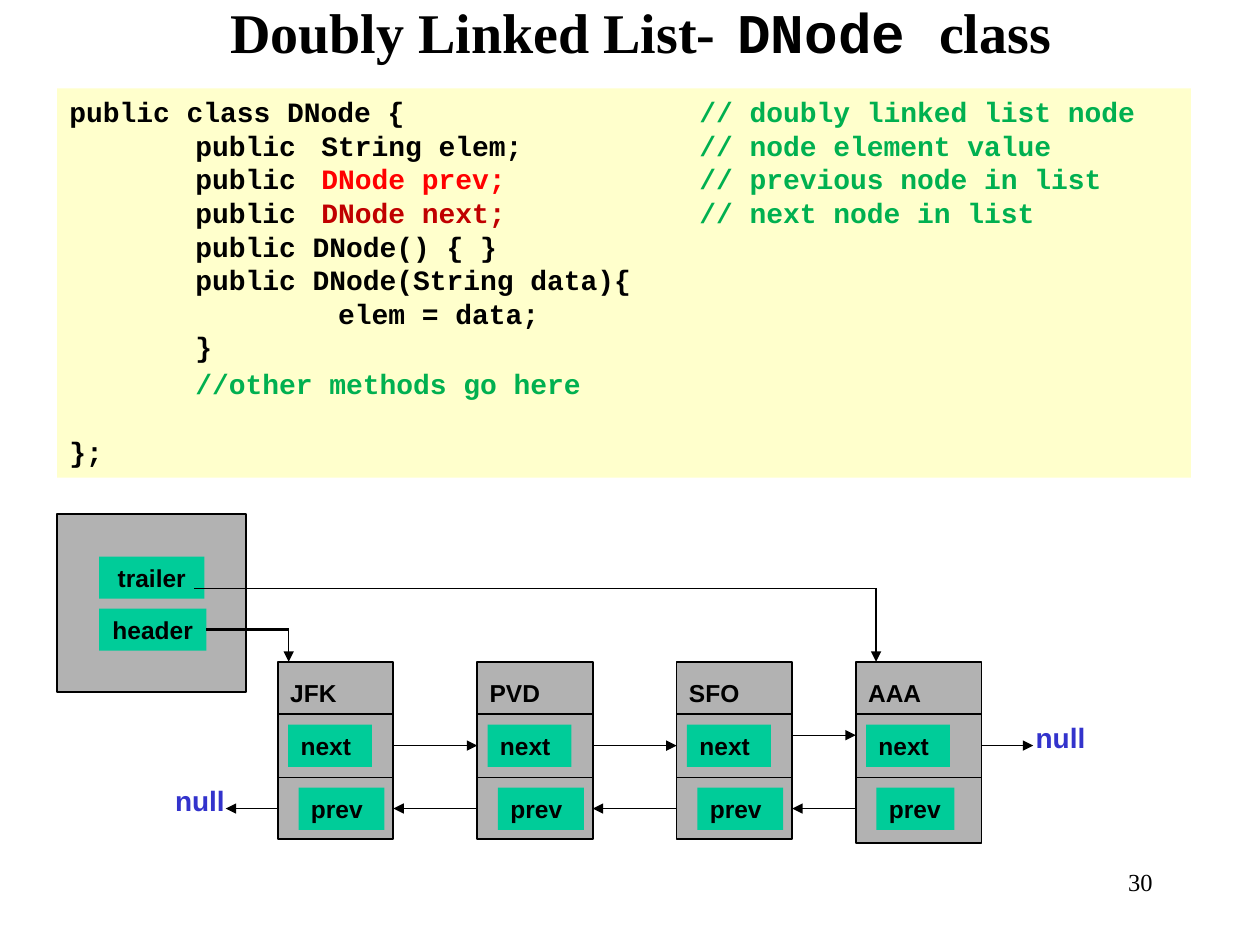
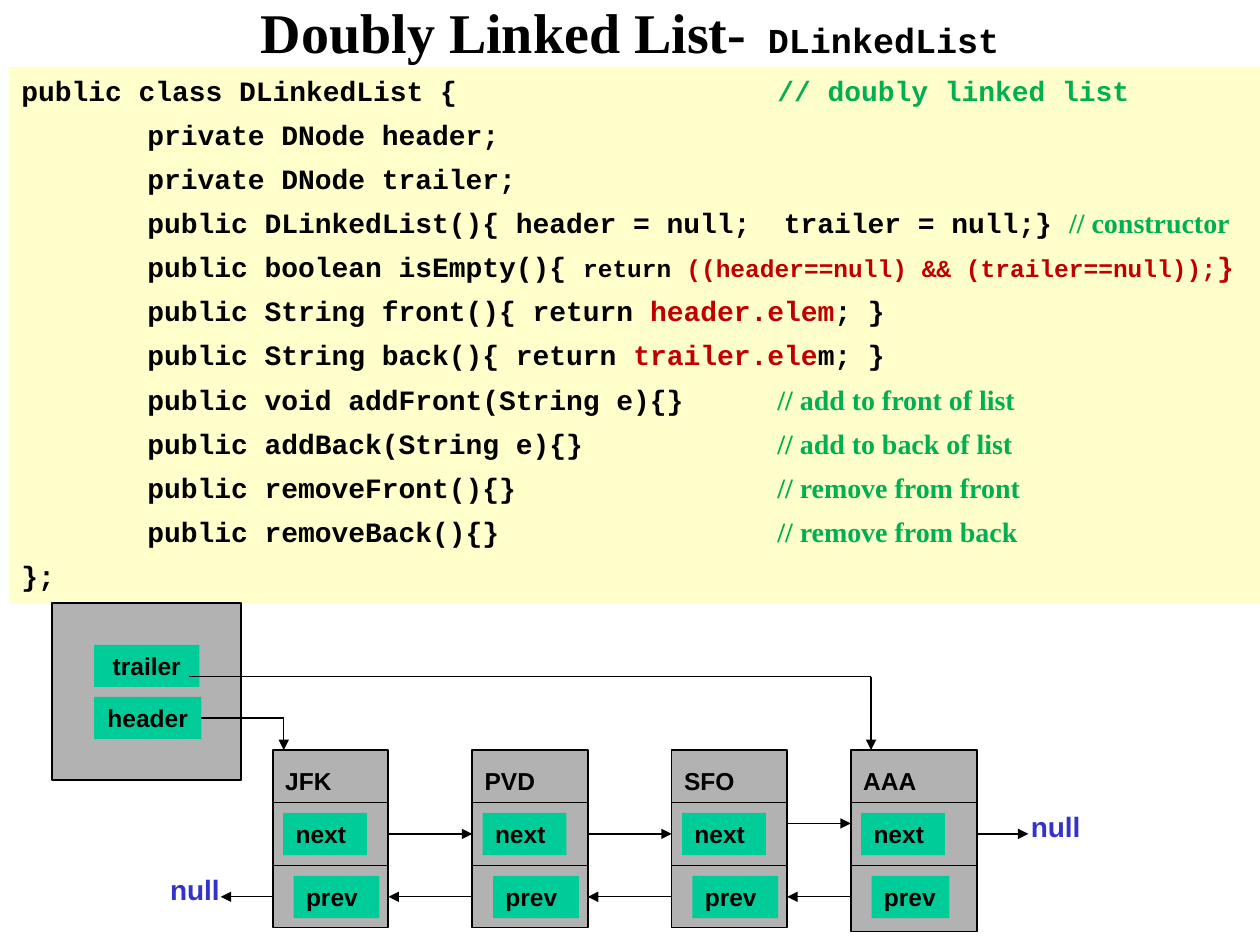
"""Build two slides on a doubly linked list: its node class and its list class."""
from lxml import etree
from pptx import Presentation
from pptx.dml.color import RGBColor
from pptx.enum import shapes, text
from pptx.oxml import ns
from pptx.util import Cm, Pt

COLORS = {
    "black": "000000", "code": "FFFFCC", "comment": "00B050", "red": "FF0000",
    "dark red": "C00000", "node": "B2B2B2", "field": "00CC99", "null": "3333CC",
}
SERIF, MONO, SANS = "Times New Roman", "Courier New", "Arial"
TAB_WIDTH = Cm(2.54)


def write(shape, paragraphs, font=SANS, size=14, color="black", bold=True, align="LEFT",
          anchor="TOP", line_spacing=1.0, gaps=()):
    """Fill a shape with paragraphs, each a list of strings or (string, overrides)."""
    frame = shape.text_frame
    frame.auto_size = text.MSO_AUTO_SIZE.NONE
    frame.word_wrap = True
    frame.vertical_anchor = getattr(text.MSO_ANCHOR, anchor)
    frame.margin_left = frame.margin_right = Cm(0.25)
    frame.margin_top = frame.margin_bottom = Cm(0.13)
    for index, runs in enumerate(paragraphs):
        paragraph = frame.paragraphs[0] if index == 0 else frame.add_paragraph()
        paragraph.alignment = getattr(text.PP_ALIGN, align)
        paragraph.line_spacing = line_spacing
        paragraph.space_before = Pt(gaps[index] if gaps else 0)
        properties = paragraph._p.get_or_add_pPr()
        for name, value in (("marL", 0), ("indent", 0), ("defTabSz", TAB_WIDTH)):
            properties.set(name, str(int(value)))
        etree.SubElement(properties, ns.qn("a:buNone"))
        for part in runs:
            words, changes = (part, {}) if isinstance(part, str) else part
            style = {"font": font, "size": size, "color": color, "bold": bold, **changes}
            run = paragraph.add_run()
            run.text = words
            run.font.name = style["font"]
            run.font.size = Pt(style["size"])
            run.font.bold = style["bold"]
            run.font.color.rgb = RGBColor.from_string(COLORS[style["color"]])


COMMENT = {"color": "comment"}
SERIF_COMMENT = {"color": "comment", "font": SERIF}
RED, DARK_RED = {"color": "red"}, {"color": "dark red"}

node_class = [
    ["public class DNode { \t\t\t", ("// doubly linked list node", COMMENT)],
    ["\tpublic \tString elem; \t\t", ("// node element value", COMMENT)],
    ["\tpublic \t", ("DNode prev; \t\t", RED), ("// previous node in list", COMMENT)],
    ["\tpublic \t", ("DNode next; \t\t", DARK_RED), ("// next node in list", COMMENT)],
    ["\tpublic DNode() { }"],
    ["\tpublic DNode(String data){"],
    ["\t\t elem = data;"],
    ["\t}"],
    ["\t", ("//other methods go here", COMMENT)],
    ["};"],
]
list_class = [
    ["public class DLinkedList { \t\t\t", ("// doubly linked list", COMMENT)],
    ["\tprivate DNode header;"],
    ["\tprivate DNode trailer;"],
    ["\tpublic DLinkedList(){ header = null;  trailer = null;} ", ("// constructor", SERIF_COMMENT)],
    ["\tpublic boolean isEmpty(){ ", ("return ", {"size": 14}),
     ("((header==null) && (trailer==null));", {"size": 14, **DARK_RED}), ("}", DARK_RED)],
    ["\tpublic String front(){ return ", ("header.elem", DARK_RED), "; }"],
    ["\tpublic String back(){ return ", ("trailer.ele", DARK_RED), "m; }"],
    ["\tpublic void addFront(String e){} \t", ("// add to front of list", SERIF_COMMENT)],
    ["\tpublic addBack(String e){} \t\t", ("// add to back of list", SERIF_COMMENT)],
    ["\tpublic removeFront(){} \t\t", ("// remove from front", SERIF_COMMENT)],
    ["\tpublic removeBack(){} \t\t\t", ("// remove from back", SERIF_COMMENT)],
    ["};"],
]
pages = [
    {"title": [(" ", {"font": MONO, "size": 20, "bold": False}), ("DNode ", {"font": MONO}), "class"],
     "code": node_class, "gaps": [0] * 8 + [1.6, 20],
     "code_box": (1.15, 1.78, 22.86, 7.85), "diagram": (1.15, 10.37), "number": "30"},
    {"title": [(" DLinkedList ", {"font": MONO, "size": 20})],
     "code": list_class, "gaps": [0] + [6] * 11,
     "code_box": (0.18, 1.35, 25.22, 10.82), "diagram": (1.05, 12.15), "number": None},
]

NODE_TOP, FIELD_HEIGHT = 2.97, 0.85
NEXT_Y, PREV_Y = NODE_TOP + 1.69, NODE_TOP + 2.96
nodes = [("JFK", 4.45, 2.33, 3.58, 1.73), ("PVD", 8.47, 2.33, 3.58, 1.73),
         ("SFO", 12.49, 2.33, 3.58, 1.73), ("AAA", 16.1, 2.54, 3.66, 1.57)]

boxes = [(0, 0, 3.81, 3.58, "node", None, "LEFT"),
         (0.85, 1.9, 2.16, FIELD_HEIGHT, "field", "header", "CENTER"),
         (0.85, 0.85, 2.12, FIELD_HEIGHT, "field", "trailer", "CENTER"),
         (19.48, 4.03, 1.69, 0.92, None, "null", "LEFT"),
         (2.13, 5.3, 1.69, 0.92, None, "null", "LEFT")]
lines = [(3.01, 2.33, 4.67, 2.33, 1.5, False), (4.67, 2.33, 4.67, NODE_TOP, 0.75, True),
         (2.77, 1.49, 16.51, 1.49, 0.75, False), (16.51, 1.49, 16.51, NODE_TOP, 0.75, True),
         (4.45, PREV_Y, 3.4, PREV_Y, 0.75, True), (18.64, NEXT_Y, 19.68, NEXT_Y, 0.75, True)]
for name, left, width, height, prev_width in nodes:
    boxes += [(left, NODE_TOP, width, height, "node", None, "LEFT"),
              (left, NODE_TOP + 0.2, 2.54, FIELD_HEIGHT, None, name, "LEFT"),
              (left + 0.21, NODE_TOP + 1.27, 1.69, FIELD_HEIGHT, "field", "next", "LEFT"),
              (left + 0.42, NODE_TOP + 2.54, prev_width, FIELD_HEIGHT, "field", "prev", "LEFT")]
    lines += [(left, NODE_TOP + drop, left + width, NODE_TOP + drop, weight, False)
              for drop, weight in ((1.06, 1), (2.33, 0.75))]
for (name, left, width, *_), (following, next_left, *_) in zip(nodes, nodes[1:]):
    next_y = NEXT_Y - 0.21 if following == "AAA" else NEXT_Y
    lines += [(left + width, next_y, next_left, next_y, 0.75, True),
              (next_left, PREV_Y, left + width, PREV_Y, 0.75, True)]

presentation = Presentation()
presentation.slide_width, presentation.slide_height = Cm(25.4), Cm(19.05)

for page in pages:
    slide = presentation.slides.add_slide(presentation.slide_layouts[1])
    title, code = slide.shapes.title, slide.placeholders[1]
    placements = ((title, (0.43, 0, 24.97, 1.27)), (code, page["code_box"]))
    for placeholder, box in placements:
        placeholder.left, placeholder.top, placeholder.width, placeholder.height = map(Cm, box)
    write(title, [["Doubly Linked List-", *page["title"]]], font=SERIF, size=32,
          align="CENTER", anchor="MIDDLE")
    code.fill.solid()
    code.fill.fore_color.rgb = RGBColor.from_string(COLORS["code"])
    write(code, page["code"], font=MONO, size=16, line_spacing=Pt(19.2), gaps=page["gaps"])

    origin_x, origin_y = page["diagram"]
    labels = {}
    for x, y, width, height, fill, label, align in boxes:
        place = [Cm(value) for value in (origin_x + x, origin_y + y, width, height)]
        if fill:
            shape = slide.shapes.add_shape(shapes.MSO_SHAPE.RECTANGLE, *place)
            shape.shadow.inherit = False
            shape.fill.solid()
            shape.fill.fore_color.rgb = RGBColor.from_string(COLORS[fill])
            if fill == "node":
                shape.line.color.rgb = RGBColor.from_string(COLORS["black"])
                shape.line.width = Pt(1)
            else:
                shape.line.fill.background()
        else:
            shape = slide.shapes.add_textbox(*place)
        if label:
            is_null = label == "null"
            write(shape, [[label]], size=16 if is_null else 14,
                  color="null" if is_null else "black", align=align)
            labels[label] = shape

    for index, (x1, y1, x2, y2, weight, arrow) in enumerate(lines):
        ends = [Cm(value) for value in (origin_x + x1, origin_y + y1, origin_x + x2, origin_y + y2)]
        connector = slide.shapes.add_connector(shapes.MSO_CONNECTOR.STRAIGHT, *ends)
        connector.line.color.rgb = RGBColor.from_string(COLORS["black"])
        connector.line.width = Pt(weight)
        if arrow:
            etree.SubElement(connector.line._get_or_add_ln(), ns.qn("a:tailEnd"), type="triangle")
        etree.SubElement(connector._element.spPr, ns.qn("a:effectLst"))
        if index == 0:
            connector.begin_connect(labels["header"], 3)
            connector.end_y = connector.begin_y

    if page["number"]:
        number = slide.shapes.add_textbox(Cm(18.21), Cm(17.35), Cm(5.28), Cm(1.27))
        write(number, [[page["number"]]], font=SERIF, bold=False, align="RIGHT")

presentation.save("out.pptx")
